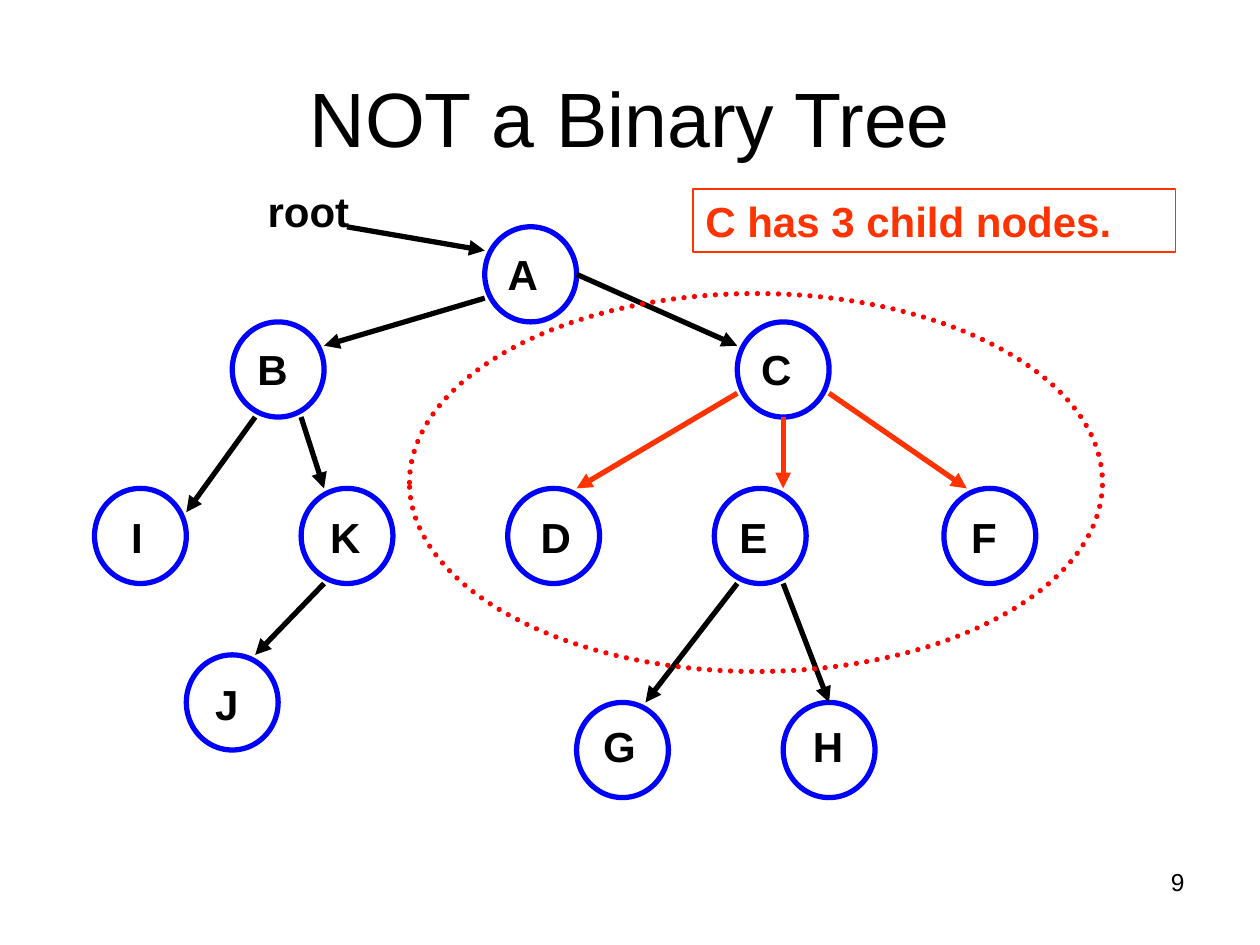
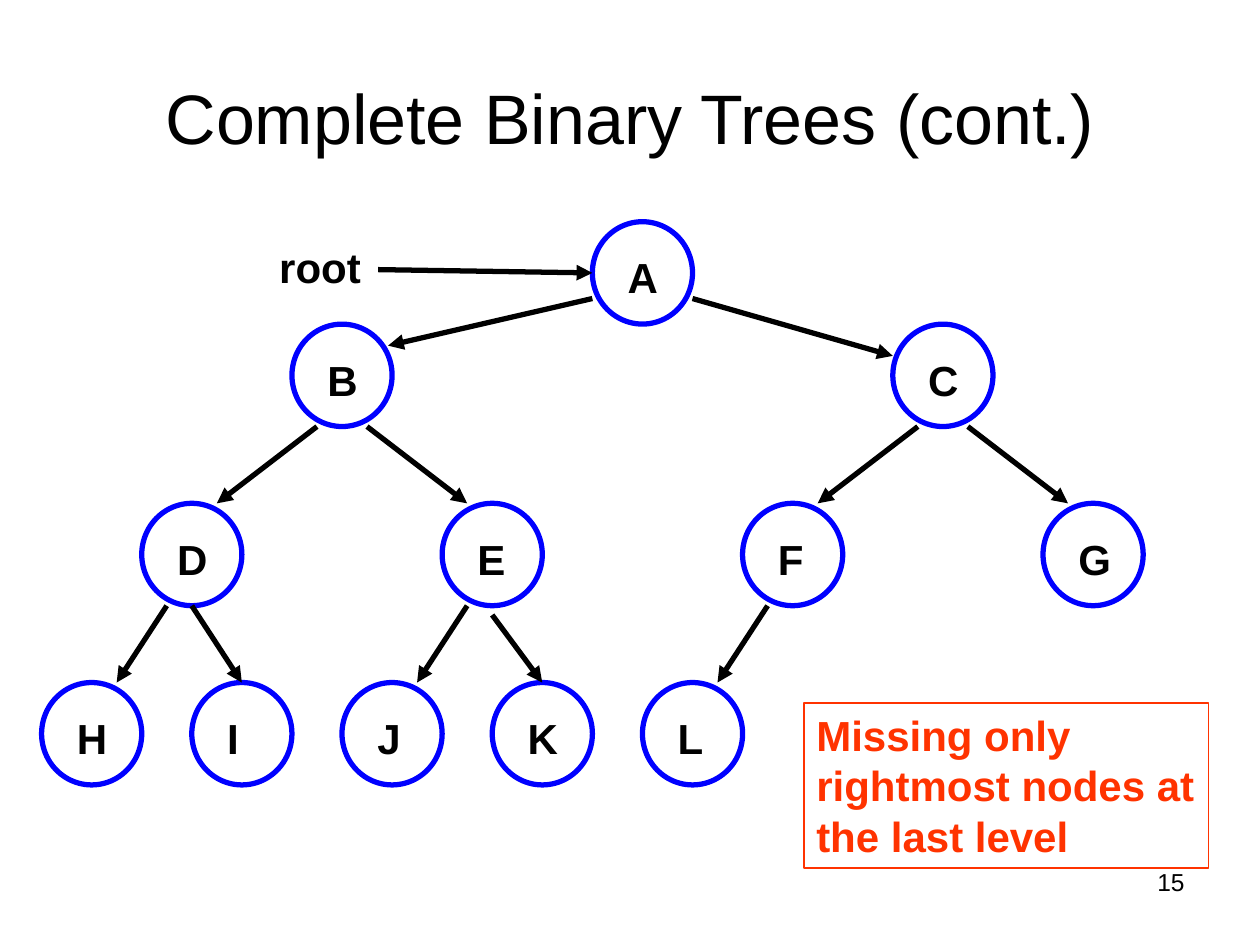
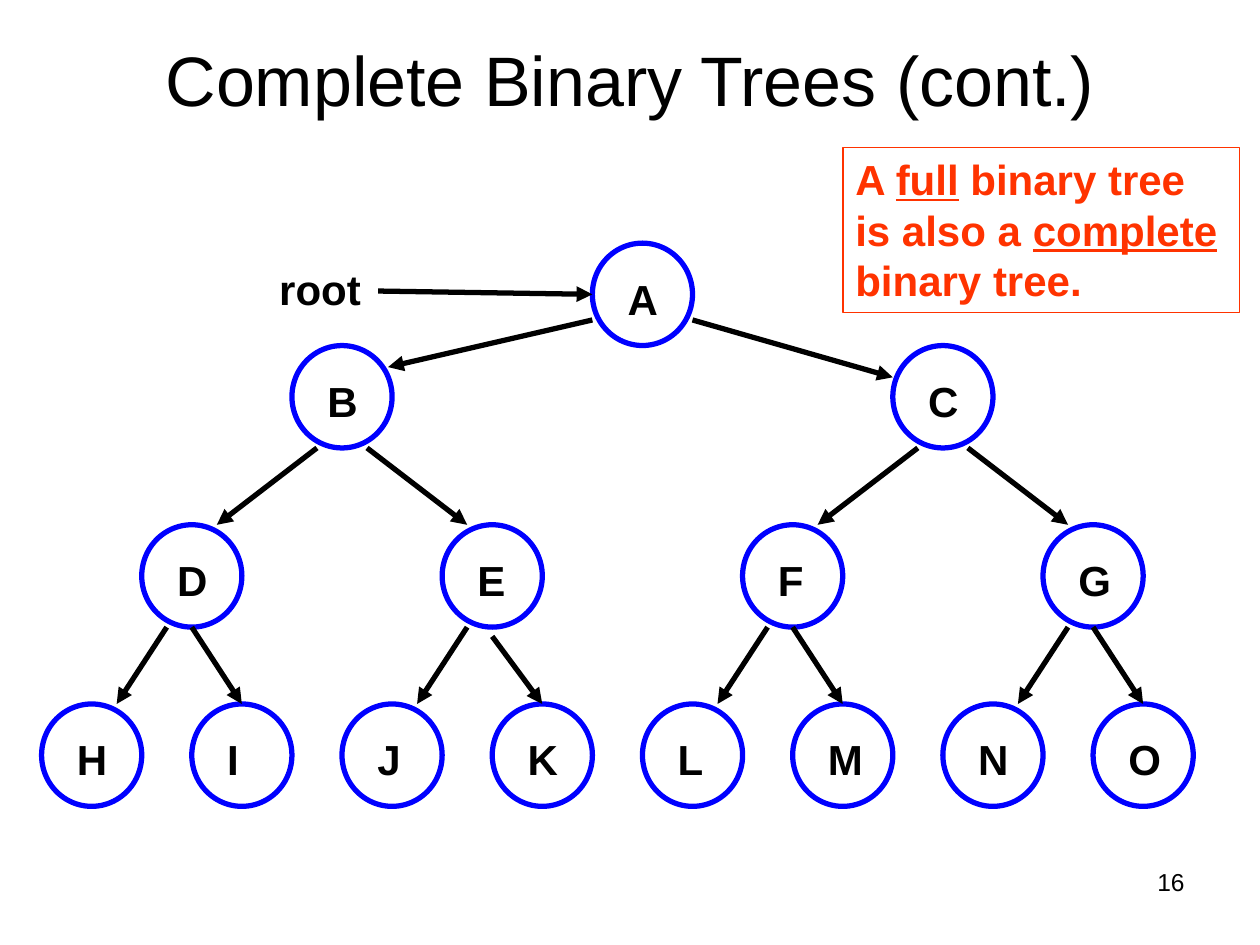
from dataclasses import dataclass

from pptx import Presentation
from pptx.dml.color import RGBColor
from pptx.enum.dml import MSO_LINE
from pptx.enum.shapes import MSO_CONNECTOR, MSO_SHAPE
from pptx.enum.text import MSO_ANCHOR, MSO_AUTO_SIZE, PP_ALIGN
from pptx.oxml.ns import qn
from pptx.oxml.xmlchemy import OxmlElement
from pptx.util import Inches, Pt

BLACK = RGBColor(0x00, 0x00, 0x00)
WHITE = RGBColor(0xFF, 0xFF, 0xFF)
BLUE = RGBColor(0x00, 0x00, 0xFF)
RED = RGBColor(0xFF, 0x00, 0x00)
ORANGE = RGBColor(0xFF, 0x33, 0x00)

NODE = 4
LABEL_INSET = 0.29
CALLOUT_FRAME = {"word_wrap": True, "auto_size": MSO_AUTO_SIZE.SHAPE_TO_FIT_TEXT,
                 "vertical_anchor": MSO_ANCHOR.TOP}


@dataclass
class Grid:
    left: float
    top: float
    width: float
    height: float
    cols: int
    rows: int

    def point(self, col, row):
        return (Inches(self.left + col * self.width / self.cols),
                Inches(self.top + row * self.height / self.rows))

    def box(self, col, row, cols, rows):
        x, y = self.point(col, row)
        right, bottom = self.point(col + cols, row + rows)
        return x, y, right - x, bottom - y


PAGE = Grid(0, 0, 10, 7.5, 100, 75)


def set_values(target, values):
    for name, value in values.items():
        setattr(target, name, value)


class Deck:
    def __init__(self):
        self.prs = Presentation()
        self.prs.slide_width, self.prs.slide_height = PAGE.point(100, 75)
        self.s = None

    def slide(self, title, number, top=3, size=44):
        self.s = self.prs.slides.add_slide(self.prs.slide_layouts[5])
        sp = self.s.shapes.title
        set_values(sp, dict(zip(("left", "top", "width", "height"), PAGE.box(5, top, 90, 12.5))))
        sp.text_frame.vertical_anchor = MSO_ANCHOR.MIDDLE
        self.fill_text(sp.text_frame, title, size, align=PP_ALIGN.CENTER, bold=False)
        self.text(PAGE.box(71.7, 68.3, 23.3, 5.2), number, 14, align=PP_ALIGN.RIGHT, bold=False)

    def fill_text(self, tf, text, size=24, color=BLACK, align=PP_ALIGN.LEFT, bold=True):
        p = tf.paragraphs[0]
        p.alignment = align
        for i, part in enumerate(text.split("_")):
            r = p.add_run()
            r.text = part
            set_values(r.font, {"name": "Arial", "size": Pt(size), "bold": bold})
            r.font.color.rgb = color
            if i % 2:
                r.font.underline = True

    def text(self, box, text, size=24, inset=0.1, **style):
        tf = self.s.shapes.add_textbox(*box).text_frame
        set_values(tf, {"word_wrap": True, "margin_left": Inches(inset)})
        self.fill_text(tf, text, size, **style)

    def shape(self, kind, box, color, weight=3, fill=None):
        sp = self.s.shapes.add_shape(kind, *box)
        sp.shadow.inherit = False
        if fill is None:
            sp.fill.background()
        else:
            sp.fill.solid()
            sp.fill.fore_color.rgb = fill
        sp.line.color.rgb = color
        sp.line.width = Pt(weight)
        return sp

    def callout(self, box, text):
        sp = self.shape(MSO_SHAPE.RECTANGLE, box, ORANGE, 0.75)
        set_values(sp.text_frame, CALLOUT_FRAME)
        self.fill_text(sp.text_frame, text, color=ORANGE)

    def dotted_ellipse(self, box):
        sp = self.shape(MSO_SHAPE.OVAL, box, RED)
        sp.line.dash_style = MSO_LINE.ROUND_DOT
        sp.element.spPr.find(qn("a:ln")).set("cap", "rnd")

    def arrow(self, start, end, color=BLACK):
        cx = self.s.shapes.add_connector(MSO_CONNECTOR.STRAIGHT, *start, *end)
        cx.line.color.rgb = color
        cx.line.width = Pt(3)
        spPr = cx.element.spPr
        tail = OxmlElement("a:tailEnd")
        tail.set("type", "triangle")
        spPr.find(qn("a:ln")).append(tail)
        spPr.append(OxmlElement("a:effectLst"))

    def tree(self, grid, nodes, edges, root_label, root_from, root_to, marked_parent=None):
        def anchor(name, across, down):
            col, row = nodes[name][:2]
            return grid.point(col + across * NODE, row + down * NODE)

        for name, (col, row, dx, dy) in nodes.items():
            self.shape(MSO_SHAPE.OVAL, grid.box(col, row, NODE, NODE), BLUE, fill=WHITE)
            self.text(grid.box(col + dx, row + dy, 5, 4), name, inset=LABEL_INSET)
        for (parent, child), (x1, y1, x2, y2) in edges.items():
            color = ORANGE if parent == marked_parent else BLACK
            self.arrow(anchor(parent, x1, y1), anchor(child, x2, y2), color)
        self.text(grid.box(*root_label, 6, 3), "root")
        self.arrow(grid.point(*root_from), anchor("A", *root_to))

    def complete_tree(self, top, count):
        levels = [(22, 0, 0), (10, 24, 4), (4, 12, 11), (0, 6, 18)]
        names = "ABCDEFGHIJKLMNO"[:count]
        nodes, edges = {}, {}
        for i, name in enumerate(names):
            depth = (i + 1).bit_length() - 1
            first, step, row = levels[depth]
            nodes[name] = (first + step * (i + 1 - 2 ** depth), row, -0.05, 0.93)
            if i:
                right = (0.75, 1, 0.25, 0) if depth < 3 else (0.5, 1, 0.5, 0)
                edges[names[(i - 1) // 2] + name] = (0.25, 1, 0.75, 0) if i % 2 else right
        edges |= {"AB": (0, 0.75, 0.96, 0.21), "AC": (1, 0.75, 0, 0.31), "EK": (0.5, 1.09, 0.5, 0)}
        self.tree(Grid(0.33, top, 9.14, 4.47, 46, 22), nodes, edges, (9, 0.54), (13.44, 1.87), (0, 0.5))


THREE_CHILD_NODES = {
    "A": (17, 0, -0.6, 0.65), "B": (6, 4, -0.5, 0.65), "C": (28, 4, -0.55, 0.65),
    "I": (0, 11, 0, 0.7), "K": (9, 11, -0.33, 0.7), "D": (18, 11, -0.16, 0.7),
    "E": (27, 11, -0.5, 0.7), "F": (37, 11, -0.4, 0.7), "J": (4, 18, -0.33, 0.74),
    "G": (21, 20, -0.44, 0.5), "H": (30, 20, -0.3, 0.5),
}
THREE_CHILD_EDGES = {
    "AB": (0, 0.75, 1, 0.25), "BI": (0.25, 1, 1, 0.25), "BK": (0.75, 1, 0.25, 0),
    "KJ": (0.25, 1, 0.75, 0), "AC": (1, 0.5, 0, 0.25), "CD": (0, 0.75, 0.75, 0),
    "CE": (0.5, 1, 0.75, 0), "CF": (1, 0.75, 0.25, 0), "EG": (0.25, 1, 0.75, 0),
    "EH": (0.75, 1, 0.5, 0),
}


def main():
    deck = Deck()

    deck.slide("NOT a Binary Tree", "9")
    deck.tree(Grid(0.75, 1.8, 7.47, 4.53, 41, 24), THREE_CHILD_NODES, THREE_CHILD_EDGES,
              (7, -2), (11, 0), (0, 0.25), marked_parent="C")
    deck.dotted_ellipse(PAGE.box(32.5, 23.3, 55, 30))
    deck.callout(PAGE.box(55, 15, 38.3, 5), "C has 3 child nodes.")

    deck.slide("Complete Binary Trees (cont.)", "15", size=40)
    deck.complete_tree(1.76, 12)
    deck.callout(PAGE.box(63.8, 55.8, 32.1, 13.1), "Missing only rightmost nodes at the last level")

    deck.slide("Complete Binary Trees (cont.)", "16", top=0, size=40)
    deck.complete_tree(1.93, 15)
    deck.callout(PAGE.box(66.9, 11.7, 31.5, 13.1), "A _full_ binary tree is also a _complete_ binary tree.")

    deck.prs.save("out.pptx")


if __name__ == "__main__":
    main()
